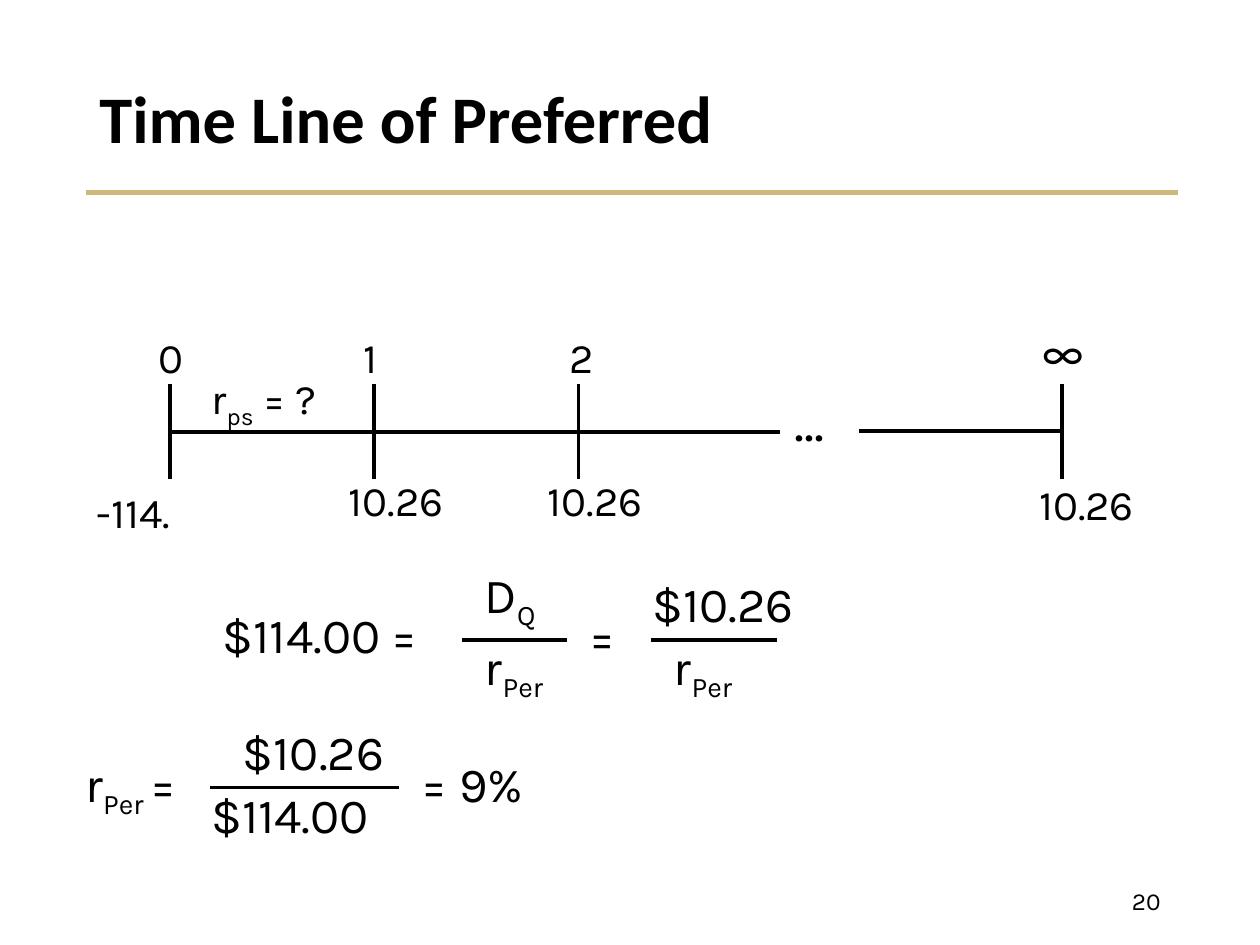
"""Build the preferred stock time line slide."""
from dataclasses import dataclass

from lxml.etree import SubElement
from pptx import Presentation
from pptx.dml.color import RGBColor
from pptx.enum.shapes import MSO_CONNECTOR as Conn
from pptx.enum.text import MSO_ANCHOR as Anchor, MSO_AUTO_SIZE as Auto, PP_ALIGN as Align
from pptx.oxml.ns import qn
from pptx.slide import Slide
from pptx.util import Inches, Pt


@dataclass(frozen=True)
class Theme:
    ink: RGBColor = RGBColor(0x00, 0x00, 0x00)
    gold: RGBColor = RGBColor(0xCF, 0xB8, 0x7C)
    body_font: str = "Karla"
    head_font: str = "Calibri"
    title: int = 38
    dots: int = 32
    formula: int = 28
    label: int = 24
    number: int = 14
    rule: float = 3
    stroke: float = 2


THEME = Theme()


@dataclass(frozen=True)
class Label:
    """Text in a box; every second run is a subscript."""
    runs: tuple[str, ...]
    left: float
    top: float
    width: float
    height: float = 0.5
    size: int = THEME.label
    font: str = THEME.body_font
    bold: bool = False
    wrap: bool = False
    anchor: Anchor = Anchor.TOP
    align: Align = Align.LEFT
    spacing: float = 1.0


@dataclass(frozen=True)
class Line:
    x1: float
    y1: float
    x2: float
    y2: float
    color: RGBColor = THEME.ink
    weight: float = THEME.stroke


def formula(runs: tuple[str, ...], left: float, top: float, width: float) -> Label:
    """Return a label in the formula size."""
    return Label(runs, left, top, width, 0.57, THEME.formula, wrap=True)


def add_label(s: Slide, item: Label) -> None:
    """Draw one text box run by run."""
    sp = s.shapes.add_textbox(Inches(item.left), Inches(item.top),
                              Inches(item.width), Inches(item.height))
    tf = sp.text_frame
    tf.word_wrap = item.wrap
    tf.auto_size = Auto.NONE if item.anchor == Anchor.MIDDLE else Auto.SHAPE_TO_FIT_TEXT
    tf.vertical_anchor = item.anchor
    p = tf.paragraphs[0]
    p.alignment = item.align
    p.line_spacing = item.spacing
    for i, text in enumerate(item.runs):
        r = p.add_run()
        r.text = text
        r.font.size = Pt(item.size)
        r.font.name = item.font
        r.font.bold = item.bold
        r.font.color.rgb = THEME.ink
        if i % 2:
            r._r.get_or_add_rPr().set("baseline", "-25000")


def add_line(s: Slide, item: Line) -> None:
    """Draw one straight line without a shadow."""
    cx = s.shapes.add_connector(Conn.STRAIGHT, Inches(item.x1), Inches(item.y1),
                                Inches(item.x2), Inches(item.y2))
    cx.line.color.rgb = item.color
    cx.line.width = Pt(item.weight)
    SubElement(cx._element.spPr, qn("a:effectLst"))


TICKS = (1.35, 2.97, 4.59, 8.43)
LINES = (
    Line(0.68, 1.53, 9.35, 1.53, THEME.gold, THEME.rule),
    *(Line(x, 3.05, x, 3.8) for x in TICKS),
    Line(TICKS[0], 3.43, 6.19, 3.43),
    Line(6.82, 3.42, TICKS[-1], 3.42),
    Line(3.67, 5.08, 4.5, 5.08),
    Line(5.17, 5.08, 6.17, 5.08),
    Line(1.67, 6.25, 3.17, 6.25),
)
RATE = ("r", "Per")
LABELS = (
    Label(("Time Line of Preferred",), 0.69, 0.4, 8.62, 1.13, THEME.title, THEME.head_font,
          bold=True, wrap=True, anchor=Anchor.MIDDLE, spacing=0.9),
    Label(("20",), 7.06, 6.95, 2.25, 0.4, THEME.number, wrap=True,
          anchor=Anchor.MIDDLE, align=Align.RIGHT),
    *(Label((str(i),), 1.16 + 1.63 * i, 2.58, 0.38) for i in range(3)),
    Label(("∞",), 8.17, 2.5, 0.56, 0.57, THEME.formula, THEME.head_font),
    Label(("r", "ps", " = ?"), 1.58, 2.91, 1.16),
    Label(("...",), 6.21, 3.01, 0.6, 0.63, THEME.dots),
    Label(("-114.",), 0.67, 3.81, 0.97),
    *(Label(("10.26",), x, y, 1.04) for x, y in ((2.67, 3.72), (4.25, 3.72), (8.15, 3.75))),
    formula(("$114.00 =",), 1.67, 4.75, 2.58),
    formula(("D", "Q"), 3.75, 4.43, 0.83),
    formula(RATE, 3.75, 5, 1.17),
    formula(("=",), 4.58, 4.76, 0.67),
    formula(("$10.26",), 5.08, 4.5, 1.42),
    formula(RATE, 5.25, 5, 1.17),
    formula(("r", "Per ", "="), 0.58, 5.93, 1.33),
    formula(("$10.26",), 1.83, 5.68, 1.42),
    formula(("$114.00",), 1.58, 6.18, 1.92),
    formula(("= 9%",), 3.25, 5.93, 6.5),
)


def main() -> None:
    """Create the slide and save it."""
    prs = Presentation()
    prs.slide_width, prs.slide_height = Inches(10), Inches(7.5)
    s = prs.slides.add_slide(prs.slide_layouts[6])
    for line in LINES:
        add_line(s, line)
    for label in LABELS:
        add_label(s, label)
    prs.save("out.pptx")


if __name__ == "__main__":
    main()
